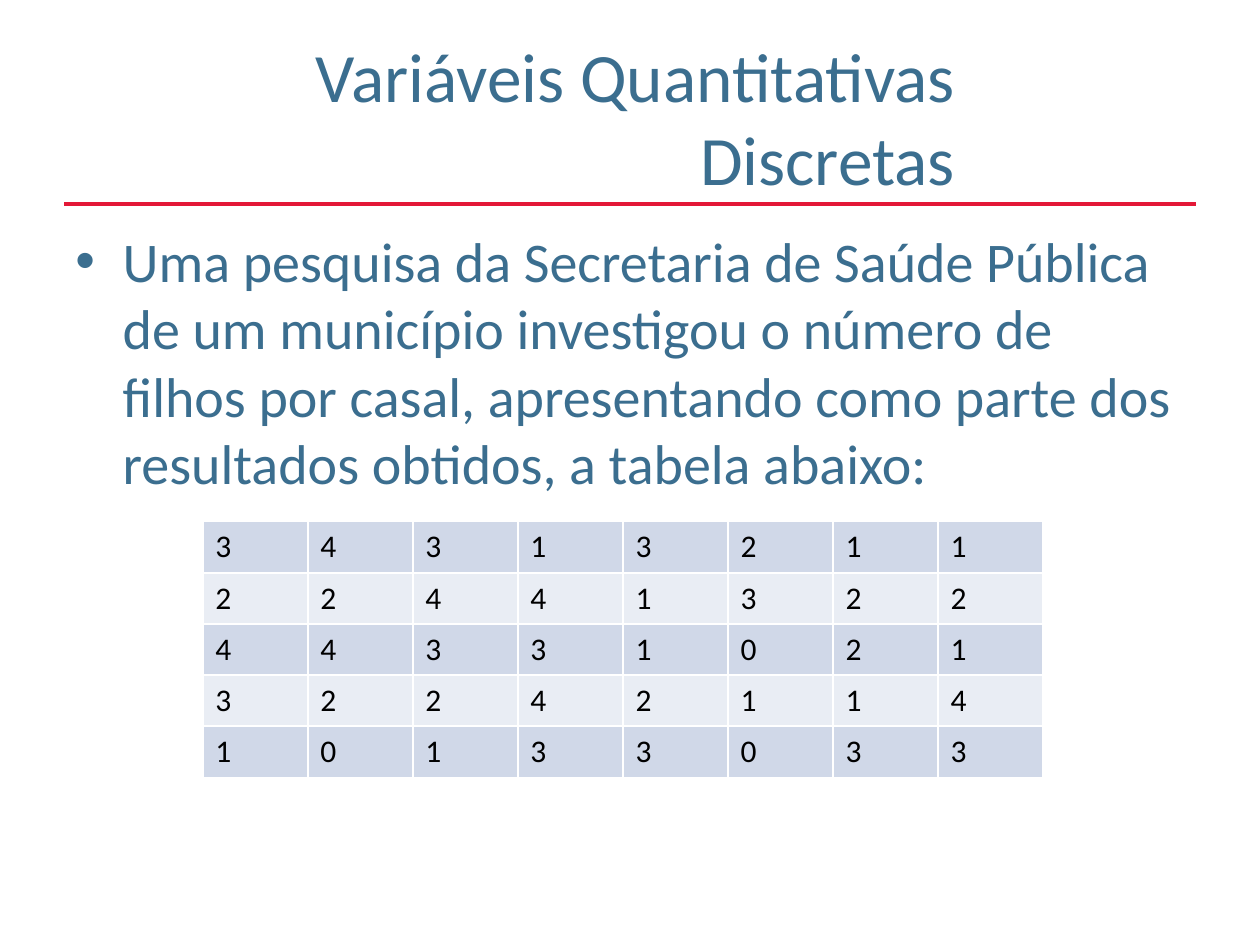
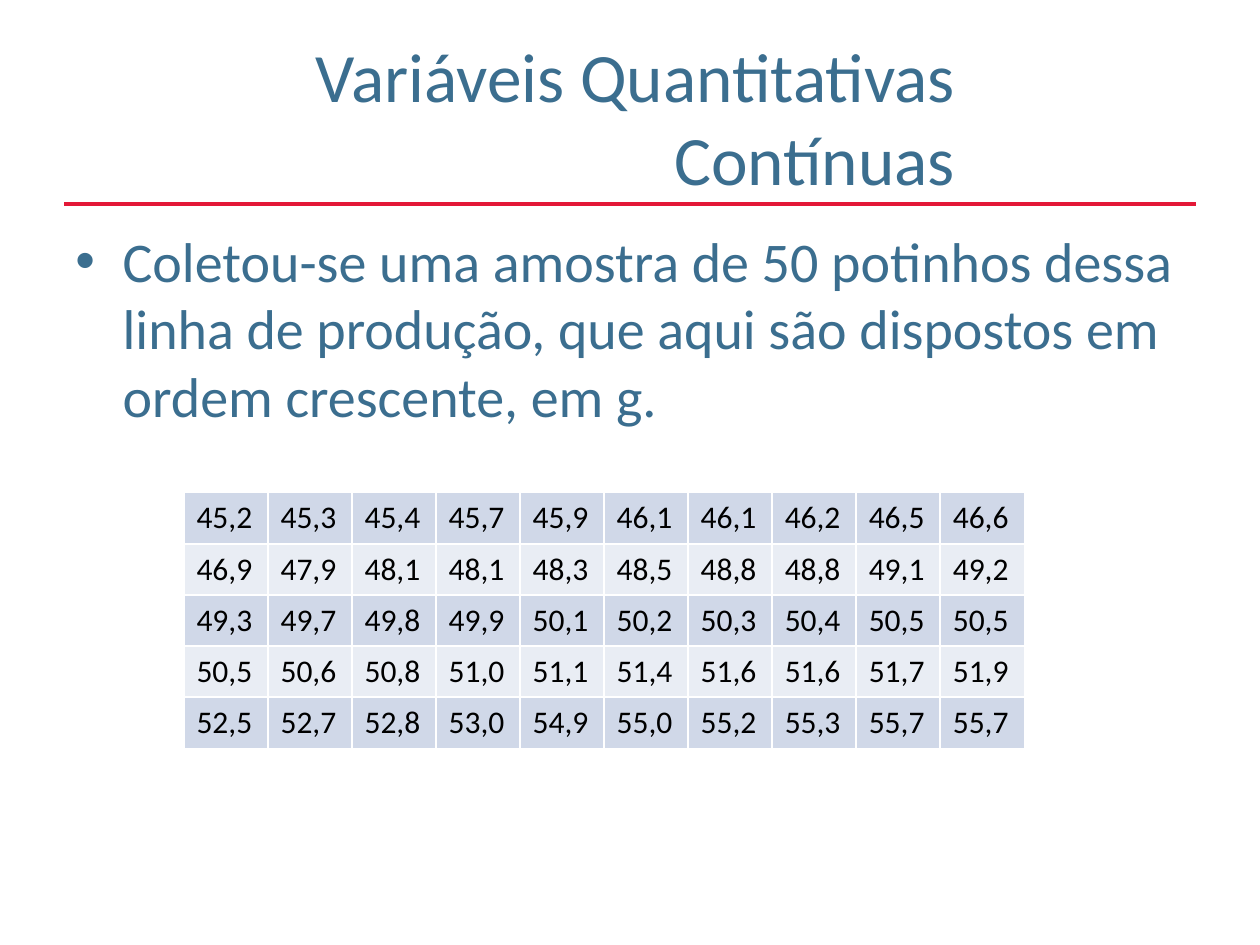
import pptx
import pptx.dml.color
import pptx.enum.shapes
import pptx.enum.text
import pptx.oxml
import pptx.oxml.ns
import pptx.util
from lxml import etree

Inches, Pt = pptx.util.Inches, pptx.util.Pt

COLORS = {"text": "3B6E8F", "rule": "E31837", "cell": "000000",
          "odd": "D0D8E8", "even": "E9EDF4", "border": "FFFFFF"}
FONT = "Calibri"
TITLE_FORMAT = {"name": FONT, "size": Pt(39.6), "bold": False}
BODY_FORMAT = {"name": FONT, "size": Pt(32)}
CELL_FORMAT = {"name": FONT, "size": Pt(18), "bold": False}

TITLE_BOX = (0.5, 0.3, 7.18, 1.25)
RULE_BOX = (0.51, 1.62, 8.98, 0)
TABLE_WIDTH, ROW_HEIGHT = 6.67, 0.406
HANGING = 0.375

SLIDES = [
    {"title": "Variáveis Quantitativas Discretas",
     "body": "Uma pesquisa da Secretaria de Saúde Pública de um município "
             "investigou o número de filhos por casal, apresentando como parte "
             "dos resultados obtidos, a tabela abaixo:",
     "body_box": (0.5, 1.75, 9, 2.31),
     "table_at": (1.61, 4.14),
     "rows": ["3 4 3 1 3 2 1 1",
              "2 2 4 4 1 3 2 2",
              "4 4 3 3 1 0 2 1",
              "3 2 2 4 2 1 1 4",
              "1 0 1 3 3 0 3 3"]},
    {"title": "Variáveis Quantitativas Contínuas",
     "body": "Coletou-se uma amostra de 50 potinhos dessa linha de produção, "
             "que aqui são dispostos em ordem crescente, em g.",
     "body_box": (0.5, 1.75, 9, 1.76),
     "table_at": (1.46, 3.91),
     "rows": ["45,2 45,3 45,4 45,7 45,9 46,1 46,1 46,2 46,5 46,6",
              "46,9 47,9 48,1 48,1 48,3 48,5 48,8 48,8 49,1 49,2",
              "49,3 49,7 49,8 49,9 50,1 50,2 50,3 50,4 50,5 50,5",
              "50,5 50,6 50,8 51,0 51,1 51,4 51,6 51,6 51,7 51,9",
              "52,5 52,7 52,8 53,0 54,9 55,0 55,2 55,3 55,7 55,7"]},
]


def rgb(key):
    return pptx.dml.color.RGBColor.from_string(COLORS[key])


def set_font(font, values, color):
    for name, value in values.items():
        setattr(font, name, value)
    font.color.rgb = rgb(color)


def add_element(parent, tag, **attrs):
    return etree.SubElement(parent, pptx.oxml.ns.qn(tag), attrs)


def add_title(s, box, text):
    sp = s.shapes.title
    sp.left, sp.top, sp.width, sp.height = map(Inches, box)
    tf = sp.text_frame
    tf.text = text
    tf.word_wrap = True
    tf.auto_size = pptx.enum.text.MSO_AUTO_SIZE.NONE
    tf.vertical_anchor = pptx.enum.text.MSO_ANCHOR.MIDDLE
    p = tf.paragraphs[0]
    p.alignment = pptx.enum.text.PP_ALIGN.RIGHT
    set_font(p.runs[0].font, TITLE_FORMAT, "text")


def add_rule(s, box):
    left, top, width, height = box
    line = s.shapes.add_connector(
        pptx.enum.shapes.MSO_CONNECTOR.STRAIGHT, Inches(left), Inches(top),
        Inches(left + width), Inches(top + height))
    line.line.color.rgb = rgb("rule")
    line.line.width = Pt(2)
    add_element(line._element.spPr, "a:effectLst")


def add_body(s, box, text):
    tf = s.shapes.add_textbox(*map(Inches, box)).text_frame
    tf.word_wrap = True
    p = tf.paragraphs[0]
    # Hanging bullet
    pPr = p._p.get_or_add_pPr()
    pPr.set("marL", str(Inches(HANGING)))
    pPr.set("indent", str(-Inches(HANGING)))
    add_element(pPr, "a:buFont", typeface="Arial")
    add_element(pPr, "a:buChar", char="•")
    r = p.add_run()
    r.text = text
    set_font(r.font, BODY_FORMAT, "text")


def set_borders(cell):
    tcPr = cell._tc.get_or_add_tcPr()
    for side in ("L", "R", "T", "B"):
        ln = add_element(tcPr, f"a:ln{side}", w=str(Pt(1)))
        add_element(add_element(ln, "a:solidFill"), "a:srgbClr",
                    val=COLORS["border"])


def add_data_table(s, at, rows):
    values = [row.split() for row in rows]
    n_rows, n_cols = len(values), len(values[0])
    left, top = at
    table = s.shapes.add_table(
        n_rows, n_cols, Inches(left), Inches(top), Inches(TABLE_WIDTH),
        Inches(ROW_HEIGHT * n_rows)).table
    table.first_row = table.horz_banding = False
    for i, row in enumerate(values):
        for j, value in enumerate(row):
            cell = table.cell(i, j)
            set_borders(cell)
            cell.fill.solid()
            cell.fill.fore_color.rgb = rgb("even" if i % 2 else "odd")
            cell.text = value
            set_font(cell.text_frame.paragraphs[0].runs[0].font,
                     CELL_FORMAT, "cell")


def add_data_slide(prs, content):
    s = prs.slides.add_slide(prs.slide_layouts[5])
    add_rule(s, RULE_BOX)
    add_title(s, TITLE_BOX, content["title"])
    add_body(s, content["body_box"], content["body"])
    add_data_table(s, content["table_at"], content["rows"])


def main():
    prs = pptx.Presentation()
    prs.slide_width, prs.slide_height = Inches(10), Inches(7.5)
    for content in SLIDES:
        add_data_slide(prs, content)
    prs.save("out.pptx")


if __name__ == "__main__":
    main()
